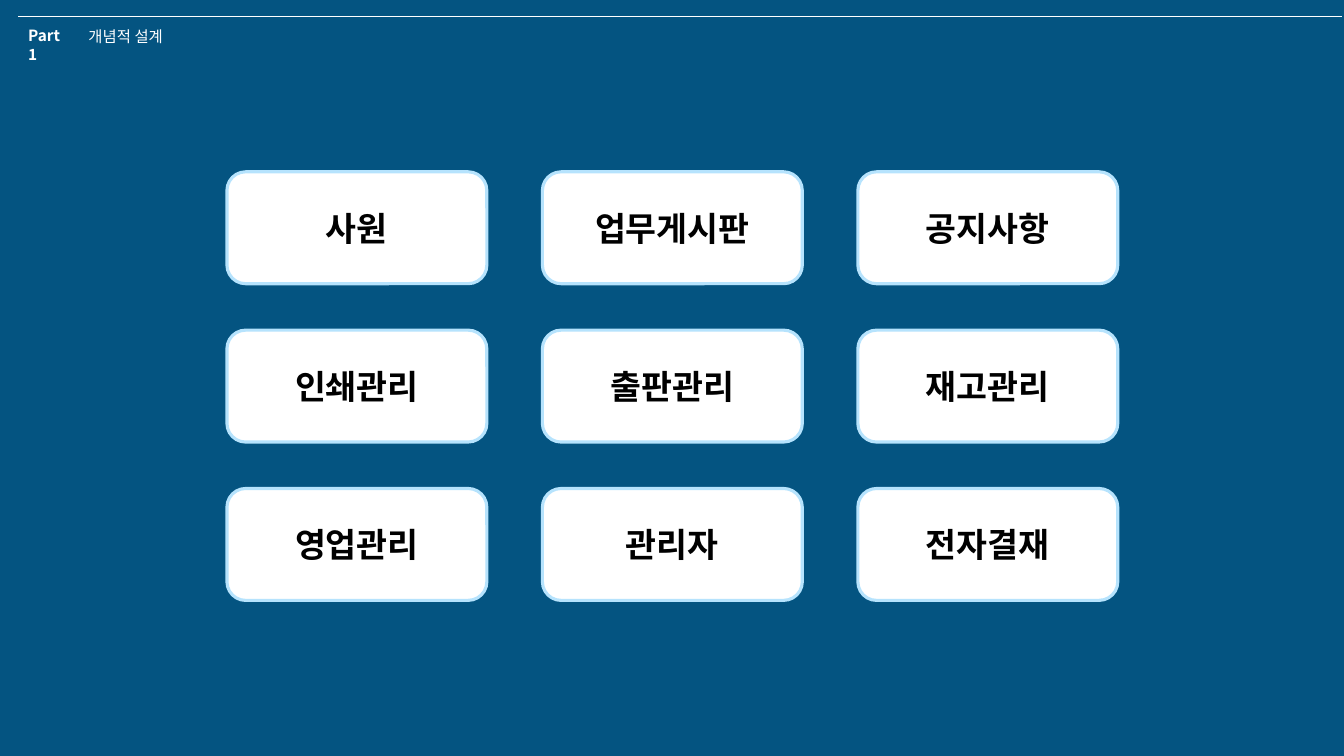
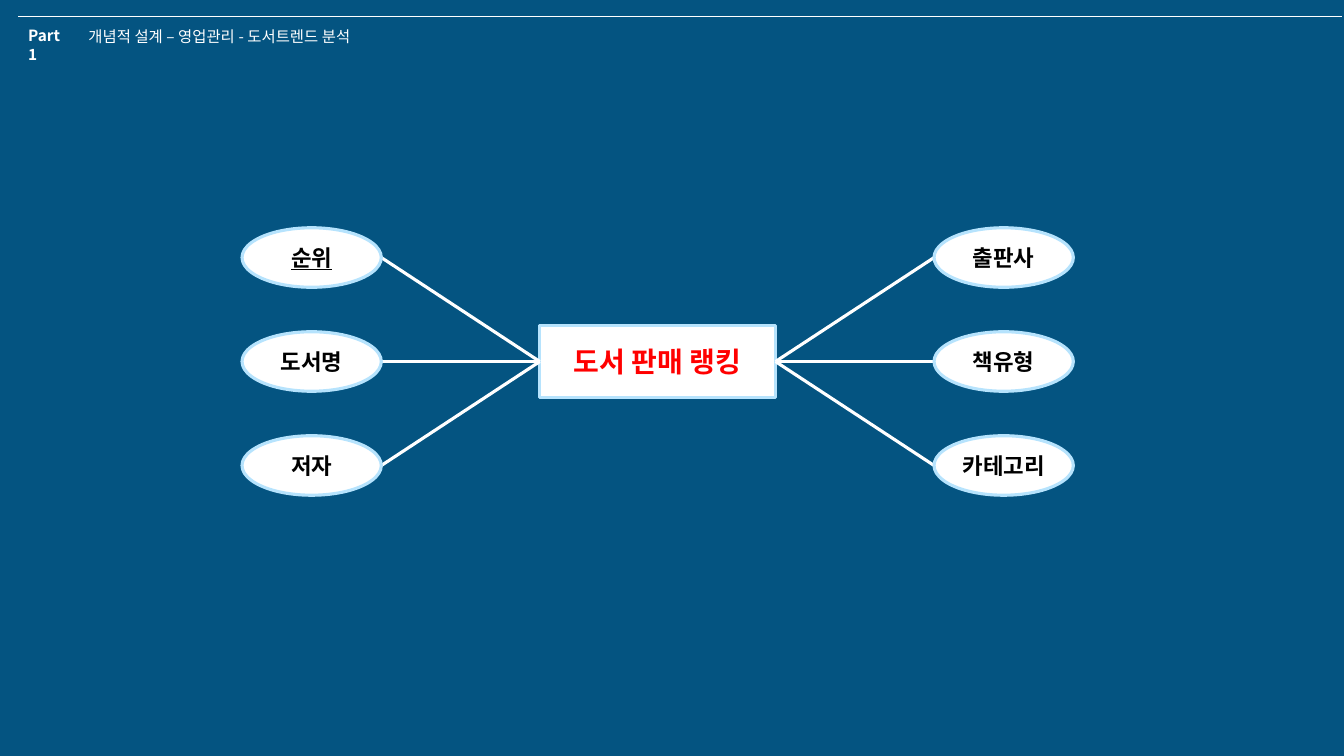
from collections import namedtuple
from dataclasses import dataclass

from lxml.etree import SubElement
from pptx import Presentation
from pptx.dml.color import RGBColor
from pptx.enum.shapes import MSO_CONNECTOR, MSO_SHAPE
from pptx.enum.text import MSO_ANCHOR, MSO_AUTO_SIZE, PP_ALIGN
from pptx.oxml.ns import qn
from pptx.util import Cm, Pt

Box = namedtuple("Box", "x y w h")


@dataclass(frozen=True)
class Theme:
    """Colours, font and sizes shared by the slides."""
    back: str = "045481"
    white: str = "FFFFFF"
    edge: str = "B6E3FD"
    black: str = "000000"
    red: str = "FF0000"
    font: str = "Noto Sans CJK KR"
    head: int = 11
    leaf: int = 16
    core: int = 20
    card: int = 24
    thin: float = 0.5
    thick: float = 2.25


T = Theme()


def rgb(code):
    """Turn a hex code into a colour."""
    return RGBColor.from_string(code)


def style(frame, text, size, color, bold=True):
    """Write one line of text and format its run."""
    frame.text = text
    run = frame.paragraphs[0].runs[0]
    run.font.size, run.font.bold = Pt(size), bold
    run.font.color.rgb = rgb(color)
    run.font.name = T.font
    SubElement(run.font._element, qn("a:ea"), typeface=T.font)
    return run


def label(slide, box, text, bold=False):
    """Place a small white label in the heading."""
    frame = slide.shapes.add_textbox(*map(Cm, box)).text_frame
    frame.word_wrap = True
    frame.auto_size = MSO_AUTO_SIZE.SHAPE_TO_FIT_TEXT
    style(frame, text, T.head, T.white, bold)


def line(slide, start, end, width):
    """Draw a plain white line."""
    link = slide.shapes.add_connector(MSO_CONNECTOR.STRAIGHT, *map(Cm, start + end))
    link.line.color.rgb = rgb(T.white)
    link.line.width = Pt(width)
    SubElement(link._element.spPr, qn("a:effectLst"))
    return link


def node(slide, kind, box, text, size, color=T.black):
    """Draw a white shape with a pale edge and centred text."""
    shape = slide.shapes.add_shape(kind, *map(Cm, box))
    shape.shadow.inherit = False
    shape.fill.solid()
    shape.fill.fore_color.rgb = rgb(T.white)
    shape.line.color.rgb = rgb(T.edge)
    shape.line.width = Pt(T.thick)
    style(shape.text_frame, text, size, color)
    shape.text_frame.vertical_anchor = MSO_ANCHOR.MIDDLE
    shape.text_frame.paragraphs[0].alignment = PP_ALIGN.CENTER
    return shape


def page(deck, title, width):
    """Add a blank slide with the shared heading."""
    slide = deck.slides.add_slide(deck.slide_layouts[6])
    line(slide, (0.46, 0.41), (33.83, 0.41), T.thin)
    label(slide, Box(1.98, 0.55, width, 0.74), title)
    label(slide, Box(0.46, 0.54, 1.55, 0.74), "Part 1", bold=True)
    return slide


def grid(slide, box, rows, wide=6.55, high=2.82):
    """Spread rows of cards evenly over the box."""
    down = (box.h - high) / (len(rows) - 1)
    for i, row in enumerate(rows):
        step = (box.w - wide) / (len(row) - 1)
        for j, text in enumerate(row):
            spot = Box(box.x + j * step, box.y + i * down, wide, high)
            node(slide, MSO_SHAPE.ROUNDED_RECTANGLE, spot, text, T.card)


def leaf(slide, box, text, key):
    """Draw one oval, underlined if it is the key."""
    oval = node(slide, MSO_SHAPE.OVAL, box, text, T.leaf)
    frame = oval.text_frame
    frame.margin_left = frame.margin_right = 0
    frame.margin_top = frame.margin_bottom = 0
    if key:
        frame.paragraphs[0].runs[0].font.underline = True


def web(slide, box, name, left, right, key, wide=3.51, high=1.5):
    """Join a central entity to ovals on both sides of the box."""
    w, h = 5.94, 1.83
    mid = Box(box.x + (box.w - w) / 2, box.y + (box.h - h) / 2, w, h)
    core = node(slide, MSO_SHAPE.RECTANGLE, mid, name, T.core, T.red)
    sides = (
        (left, box.x, box.x + wide, mid.x, 1),
        (right, box.x + box.w - wide, box.x + box.w - wide, mid.x + w, 3),
    )
    for names, x, tip, end, site in sides:
        step = (box.h - high) / (len(names) - 1)
        for i, text in enumerate(names):
            y = box.y + i * step
            link = line(slide, (tip, y + high / 2), (end, mid.y + h / 2), T.thick)
            link.end_connect(core, site)
            leaf(slide, Box(x, y, wide, high), text, text == key)


def main():
    """Build and save the deck."""
    deck = Presentation()
    deck.slide_width, deck.slide_height = Cm(33.87), Cm(19.05)
    fill = deck.slide_master.background.fill
    fill.solid()
    fill.fore_color.rgb = rgb(T.back)

    cards = page(deck, "개념적 설계", 2.57)
    grid(cards, Box(5.72, 4.33, 22.45, 10.8), (
        ("사원", "업무게시판", "공지사항"),
        ("인쇄관리", "출판관리", "재고관리"),
        ("영업관리", "관리자", "전자결재"),
    ))

    ranks = page(deck, "개념적 설계 – 영업관리 - 도서트렌드 분석", 7.65)
    web(ranks, Box(6.1, 5.74, 20.95, 6.74), "도서 판매 랭킹",
        ("순위", "도서명", "저자"), ("출판사", "책유형", "카테고리"), key="순위")

    deck.save("out.pptx")


if __name__ == "__main__":
    main()
